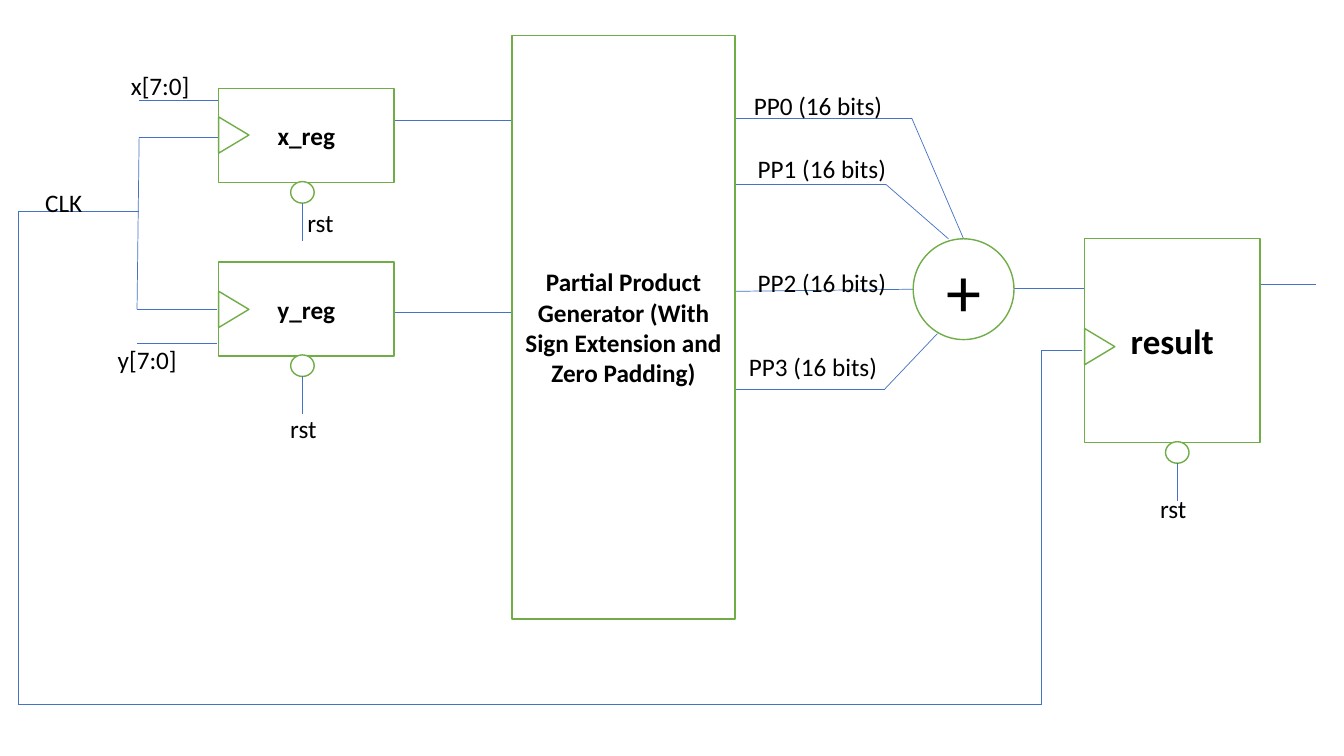
from dataclasses import dataclass
from itertools import pairwise

from pptx import Presentation
from pptx.dml.color import RGBColor
from pptx.enum.shapes import MSO_CONNECTOR as Connector, MSO_SHAPE as Shape
from pptx.enum.text import MSO_ANCHOR as Anchor, MSO_AUTO_SIZE as AutoSize, PP_ALIGN as Align
from pptx.oxml.xmlchemy import OxmlElement
from pptx.shapes.autoshape import Shape as AutoShape
from pptx.slide import Slide
from pptx.text.text import TextFrame
from pptx.util import Pt

FONT = "Calibri"
GREEN, BLUE, BLACK, WHITE = "70AD47", "4472C4", "000000", "FFFFFF"
CLOCK_WIDTH, CLOCK_HEIGHT = 25.9, 21.6
BUBBLE_WIDTH, BUBBLE_HEIGHT = 16.8, 15.4
RESET_WIRE = 26.8
LABEL_HEIGHT = 29

Point = tuple[float, float]


@dataclass
class Block:
    text: str
    left: float
    top: float
    width: float
    height: float
    size: float = 18
    bold: bool = True
    kind: Shape = Shape.RECTANGLE


@dataclass
class Register:
    block: Block
    clock_drop: float
    bubble_shift: float


@dataclass
class Label:
    text: str
    left: float
    top: float
    width: float


REGISTERS = [
    Register(Block("x_reg", 156.2, 63.4, 125.3, 67), 22.3, 51.4),
    Register(Block("y_reg", 156.2, 187.2, 125.3, 67), 23, 51.4),
    Register(Block("result", 774.7, 170.6, 125.3, 145.6, size=25), 66.2, 57.8),
]

BLOCKS = [
    Block("Partial Product Generator (With Sign Extension and Zero Padding)",
          365.8, 25.2, 159.1, 416.9),
    Block("+", 652.3, 170.6, 72, 72, size=50, bold=False, kind=Shape.OVAL),
]

WIRES: list[list[Point]] = [
    [(99.4, 72), (156.2, 72)],
    [(97.9, 245.5), (154.8, 245.5)],
    [(156.2, 97.9), (99.4, 97.9), (97.9, 221), (154.8, 221)],
    [(99.4, 151.2), (13, 151.2), (13, 503.3), (743.8, 503.3), (743.8, 250.6), (772.6, 250.6)],
    [(281.5, 85.7), (365.8, 85.7)],
    [(281.5, 223.2), (365.8, 223.2)],
    [(524.9, 84.2), (651.2, 84.2), (688.3, 170.6)],
    [(524.9, 131.8), (632.9, 131.8), (677.5, 170.6)],
    [(524.9, 208.1), (652.3, 206.6)],
    [(524.2, 277.9), (632, 277.9), (669.6, 238.3)],
    [(724.3, 205.9), (774.7, 205.9)],
    [(900, 203), (940.3, 203)],
]

LABELS = [
    Label("x[7:0]", 86.4, 46.8, 80),
    Label("y[7:0]", 77, 242.6, 80),
    Label("CLK", 25.2, 130.3, 70),
    Label("PP0 (16 bits)", 531.4, 61.2, 146),
    Label("PP1 (16 bits)", 534.2, 105.8, 127.4),
    Label("PP2 (16 bits)", 534.2, 187.2, 127.4),
    Label("PP3 (16 bits)", 527.8, 247.7, 124.6),
    Label("rst", 212.4, 144.7, 37.4),
    Label("rst", 200.2, 291.6, 37.4),
    Label("rst", 821.5, 348.5, 37.4),
]


def color(value: str) -> RGBColor:
    return RGBColor.from_string(value)


def write(frame: TextFrame, text: str, size: float, bold: bool = False) -> None:
    frame.text = text
    frame.word_wrap = True
    font = frame.paragraphs[0].runs[0].font
    font.name, font.size, font.bold = FONT, Pt(size), bold
    font.color.rgb = color(BLACK)


def add_outline(page: Slide, kind: Shape, left: float, top: float,
                width: float, height: float) -> AutoShape:
    """Add a white shape with a green border."""
    shape = page.shapes.add_shape(kind, Pt(left), Pt(top), Pt(width), Pt(height))
    shape.shadow.inherit = False
    shape.fill.solid()
    shape.fill.fore_color.rgb = color(WHITE)
    shape.line.color.rgb = color(GREEN)
    shape.line.width = Pt(1)
    return shape


def add_block(page: Slide, block: Block) -> None:
    shape = add_outline(page, block.kind, block.left, block.top, block.width, block.height)
    write(shape.text_frame, block.text, block.size, block.bold)
    shape.text_frame.vertical_anchor = Anchor.MIDDLE
    shape.text_frame.paragraphs[0].alignment = Align.CENTER


def add_wire(page: Slide, points: list[Point]) -> None:
    for (x1, y1), (x2, y2) in pairwise(points):
        line = page.shapes.add_connector(Connector.STRAIGHT, Pt(x1), Pt(y1), Pt(x2), Pt(y2))
        line.line.color.rgb = color(BLUE)
        line.line.width = Pt(0.5)
        line._element.spPr.append(OxmlElement("a:effectLst"))


def add_register(page: Slide, register: Register) -> None:
    """Add a block with its clock input and its inverted reset."""
    block = register.block
    add_block(page, block)
    clock = add_outline(page, Shape.ISOSCELES_TRIANGLE,
                        block.left - (CLOCK_WIDTH - CLOCK_HEIGHT) / 2,
                        block.top + register.clock_drop, CLOCK_WIDTH, CLOCK_HEIGHT)
    clock.rotation = 90
    bubble_left = block.left + register.bubble_shift
    bubble_top = block.top + block.height - 0.7
    add_outline(page, Shape.OVAL, bubble_left, bubble_top, BUBBLE_WIDTH, BUBBLE_HEIGHT)
    wire_x = bubble_left + BUBBLE_WIDTH / 2
    wire_top = bubble_top + BUBBLE_HEIGHT
    add_wire(page, [(wire_x, wire_top), (wire_x, wire_top + RESET_WIRE)])


def add_label(page: Slide, label: Label) -> None:
    box = page.shapes.add_textbox(Pt(label.left), Pt(label.top), Pt(label.width), Pt(LABEL_HEIGHT))
    write(box.text_frame, label.text, 18)
    box.text_frame.auto_size = AutoSize.SHAPE_TO_FIT_TEXT


def main() -> None:
    deck = Presentation()
    deck.slide_width, deck.slide_height = Pt(960), Pt(540)
    page = deck.slides.add_slide(deck.slide_layouts[6])
    for points in WIRES:
        add_wire(page, points)
    for block in BLOCKS:
        add_block(page, block)
    for register in REGISTERS:
        add_register(page, register)
    for label in LABELS:
        add_label(page, label)
    deck.save("out.pptx")


if __name__ == "__main__":
    main()
